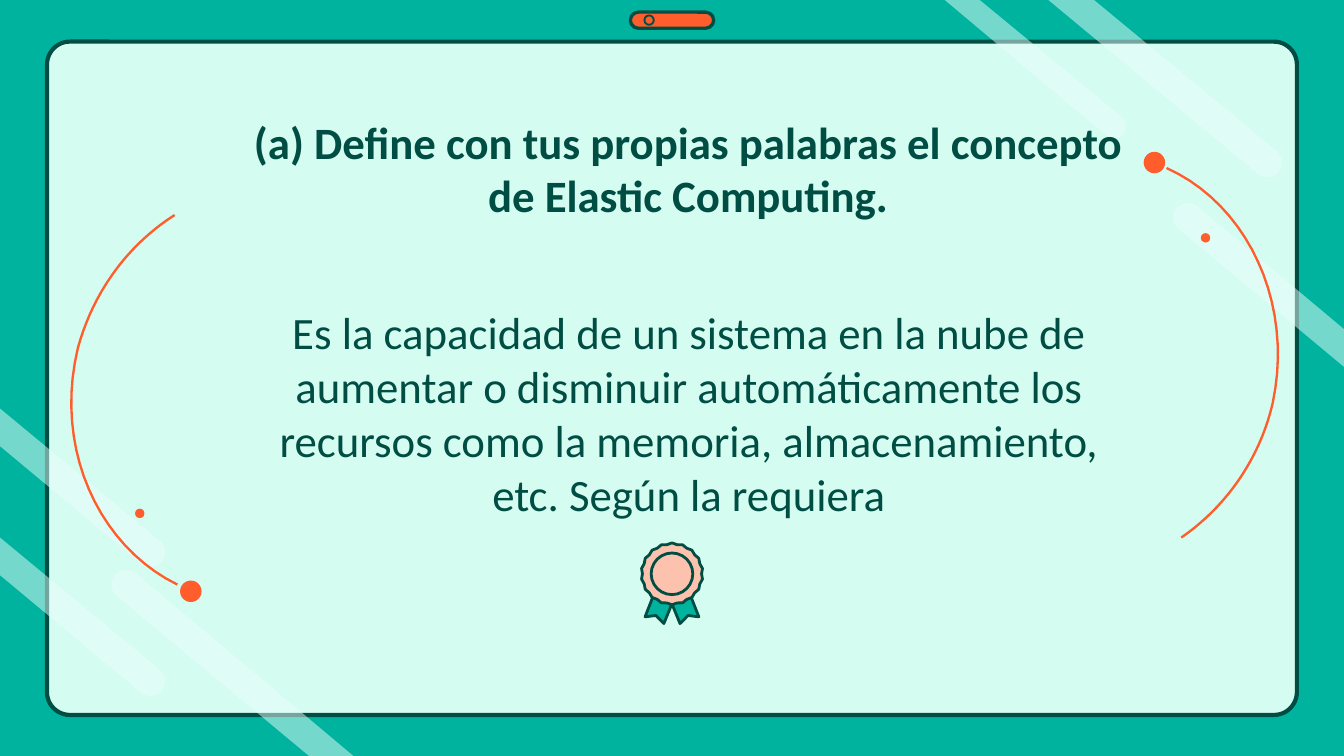
"""Build a framed question-and-answer slide with stripes, arcs and a rosette."""
from dataclasses import dataclass
from math import cos, radians, sin
from typing import Optional

from lxml import etree
from pptx import Presentation
from pptx import util as u
from pptx.dml.color import RGBColor
from pptx.enum import shapes, text
from pptx.oxml import ns

TEAL = RGBColor(0x00, 0xB3, 0x9E)
MINT = RGBColor(0xD5, 0xFC, 0xF1)
GLASS = RGBColor(0xE9, 0xFF, 0xFB)
DARK = RGBColor(0x00, 0x4D, 0x44)
ORANGE = RGBColor(0xFF, 0x5D, 0x2B)
PEACH = RGBColor(0xFD, 0xC2, 0xAE)

WIDTH = 10
HEIGHT = WIDTH * 9 / 16
SLOPE = 40
Point = tuple[float, float]


@dataclass(frozen=True)
class Stripe:
    cap: Point
    radius: float
    heading: float
    start: Point
    end: Point


@dataclass(frozen=True)
class Orbit:
    curves: tuple[tuple[Point, Point, Point, Point], ...]
    planet: Point
    moon: Point


STRIPES = (
    Stripe((9.43, 1.21), 0.11, SLOPE, (7.8, 0), (8.14, 0)),
    Stripe((8.29, 0.94), 0.09, SLOPE, (7.03, 0), (7.29, 0)),
    Stripe((0.94, 4.35), 0.11, SLOPE + 180, (2.63, HEIGHT), (2.3, HEIGHT)),
    Stripe((1.12, 5.07), 0.11, SLOPE, (0, 4.28), (0, 4)),
    Stripe((1.12, 4.11), 0.11, SLOPE, (0, 3.32), (0, 3.04)),
    Stripe((8.84, 1.62), 0.11, SLOPE + 180, (WIDTH, 2.45), (WIDTH, 2.73)),
)

ORBITS = (
    Orbit((((8.68, 1.25), (9.28, 1.52), (9.63, 2.25), (9.47, 3)),
           ((9.47, 3), (9.37, 3.43), (9.11, 3.78), (8.79, 4))),
          (8.59, 1.21), (8.97, 1.77)),
    Orbit((((1.32, 4.35), (0.73, 4.06), (0.4, 3.33), (0.58, 2.59)),
           ((0.58, 2.59), (0.7, 2.15), (0.97, 1.81), (1.3, 1.6))),
          (1.42, 4.4), (1.04, 3.82)),
)

RIBBON = ((5.11, 4.36), (5.2, 4.59), (5.12, 4.58), (5.06, 4.64), (4.97, 4.42))
ROSETTE = (5, 4.27)


def on_circle(center: Point, radius: float, degrees: float) -> Point:
    angle = radians(degrees)
    return center[0] + radius * cos(angle), center[1] + radius * sin(angle)


def bezier(a: Point, b: Point, c: Point, d: Point, steps: int = 20) -> list[Point]:
    def at(t: float, axis: int) -> float:
        s = 1 - t
        return (s**3 * a[axis] + 3 * s * s * t * b[axis]
                + 3 * s * t * t * c[axis] + t**3 * d[axis])
    return [(at(i / steps, 0), at(i / steps, 1)) for i in range(steps + 1)]


def paint(shape, fill: Optional[RGBColor], line: Optional[RGBColor] = None,
          weight: float = 1, opacity: int = 100) -> None:
    shape.shadow.inherit = False
    if fill is None:
        shape.fill.background()
    else:
        shape.fill.solid()
        shape.fill.fore_color.rgb = fill
    if opacity < 100:
        color = shape.element.spPr.find(ns.qn("a:solidFill"))[0]
        etree.SubElement(color, ns.qn("a:alpha"), val=str(opacity * 1000))
    if line is None:
        shape.line.fill.background()
    else:
        shape.line.color.rgb = line
        shape.line.width = u.Pt(weight)


def add_outline(slide, points: list[Point], closed: bool = True, **style) -> None:
    corners = [(u.Inches(x), u.Inches(y)) for x, y in points]
    builder = slide.shapes.build_freeform(*corners[0])
    builder.add_line_segments(corners[1:], close=closed)
    paint(builder.convert_to_shape(), **style)


def add_round_box(slide, left: float, top: float, width: float, height: float,
                  corner: float, **style) -> None:
    box = slide.shapes.add_shape(
        shapes.MSO_SHAPE.ROUNDED_RECTANGLE, u.Inches(left), u.Inches(top),
        u.Inches(width), u.Inches(height))
    box.adjustments[0] = corner
    paint(box, **style)


def add_disc(slide, center: Point, diameter: float, **style) -> None:
    left, top = (u.Inches(c - diameter / 2) for c in center)
    paint(slide.shapes.add_shape(shapes.MSO_SHAPE.OVAL, left, top,
                                 u.Inches(diameter), u.Inches(diameter)), **style)


def add_text(slide, words: str, *, left: float, top: float, width: float,
             height: float, size: float = 24, bold: bool = False) -> None:
    frame = slide.shapes.add_textbox(u.Inches(left), u.Inches(top), u.Inches(width),
                                     u.Inches(height)).text_frame
    frame.word_wrap = True
    frame.vertical_anchor = text.MSO_ANCHOR.MIDDLE
    frame.margin_left = frame.margin_right = u.Inches(0.1)
    frame.margin_top = frame.margin_bottom = u.Inches(0.1)
    paragraph = frame.paragraphs[0]
    paragraph.alignment = text.PP_ALIGN.CENTER
    run = paragraph.add_run()
    run.text = words
    run.font.name = "Calibri"
    run.font.size = u.Pt(size)
    run.font.bold = bold
    run.font.color.rgb = DARK


def add_stripe(slide, stripe: Stripe) -> None:
    cap = [on_circle(stripe.cap, stripe.radius, stripe.heading + turn)
           for turn in range(90, -91, -15)]
    add_outline(slide, [stripe.start, *cap, stripe.end], fill=GLASS, opacity=50)


def add_orbit(slide, orbit: Orbit) -> None:
    first, second = (bezier(*curve) for curve in orbit.curves)
    add_outline(slide, first + second[1:], closed=False, fill=None,
                line=ORANGE, weight=1.25)
    add_disc(slide, orbit.moon, 0.07, fill=ORANGE)
    add_disc(slide, orbit.planet, 0.16, fill=ORANGE)


def add_rosette(slide) -> None:
    mirrored = [(WIDTH - x, y) for x, y in RIBBON]
    for ribbon in (RIBBON, mirrored):
        add_outline(slide, ribbon, fill=TEAL, line=DARK, weight=1.5)
    scallops = [on_circle(ROSETTE, 0.22 if i % 2 else 0.23, i * 10 - 90)
                for i in range(36)]
    add_outline(slide, scallops, fill=PEACH, line=DARK, weight=1.5)
    add_disc(slide, ROSETTE, 0.31, fill=None, line=DARK, weight=1.5)


def main() -> None:
    deck = Presentation()
    deck.slide_width, deck.slide_height = u.Inches(WIDTH), u.Inches(HEIGHT)
    slide = deck.slides.add_slide(deck.slide_layouts[6])
    slide.background.fill.solid()
    slide.background.fill.fore_color.rgb = TEAL

    add_round_box(slide, 0.35, 0.31, 9.3, 5.01, 0.034,
                  fill=MINT, line=DARK, weight=2.25)
    for stripe in STRIPES:
        add_stripe(slide, stripe)
    add_round_box(slide, 4.69, 0.09, 0.62, 0.12, 0.5,
                  fill=ORANGE, line=DARK, weight=1.75)
    add_disc(slide, (4.83, 0.15), 0.07, fill=None, line=DARK, weight=1)

    add_text(slide, "Es la capacidad de un sistema en la nube de aumentar o disminuir "
             "automáticamente los recursos como la memoria, almacenamiento, etc. "
             "Según la requiera", left=1.82, top=2.11, width=6.61, height=1.92)
    add_text(slide, "(a) Define con tus propias palabras el concepto de Elastic "
             "Computing.", left=1.74, top=0.61, width=6.76, height=1.28, bold=True)
    add_rosette(slide)
    for orbit in ORBITS:
        add_orbit(slide, orbit)
    deck.save("out.pptx")


if __name__ == "__main__":
    main()
